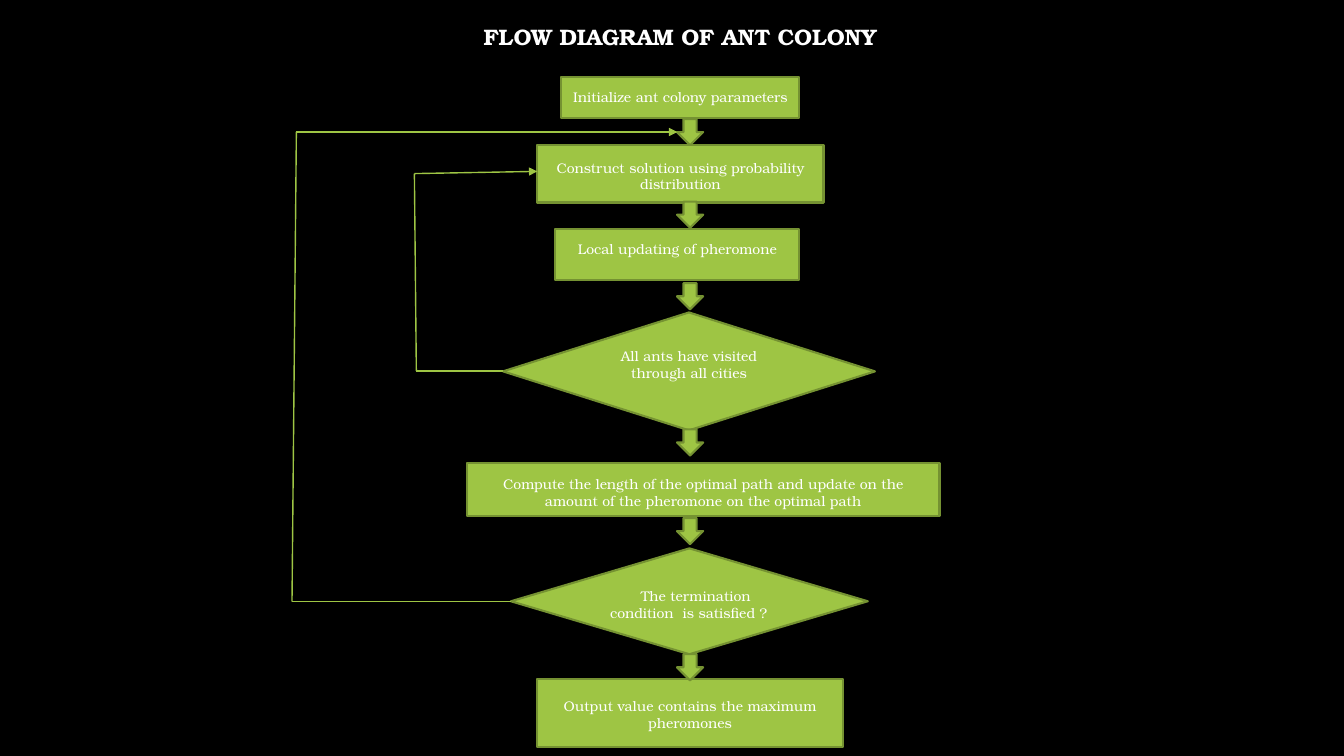
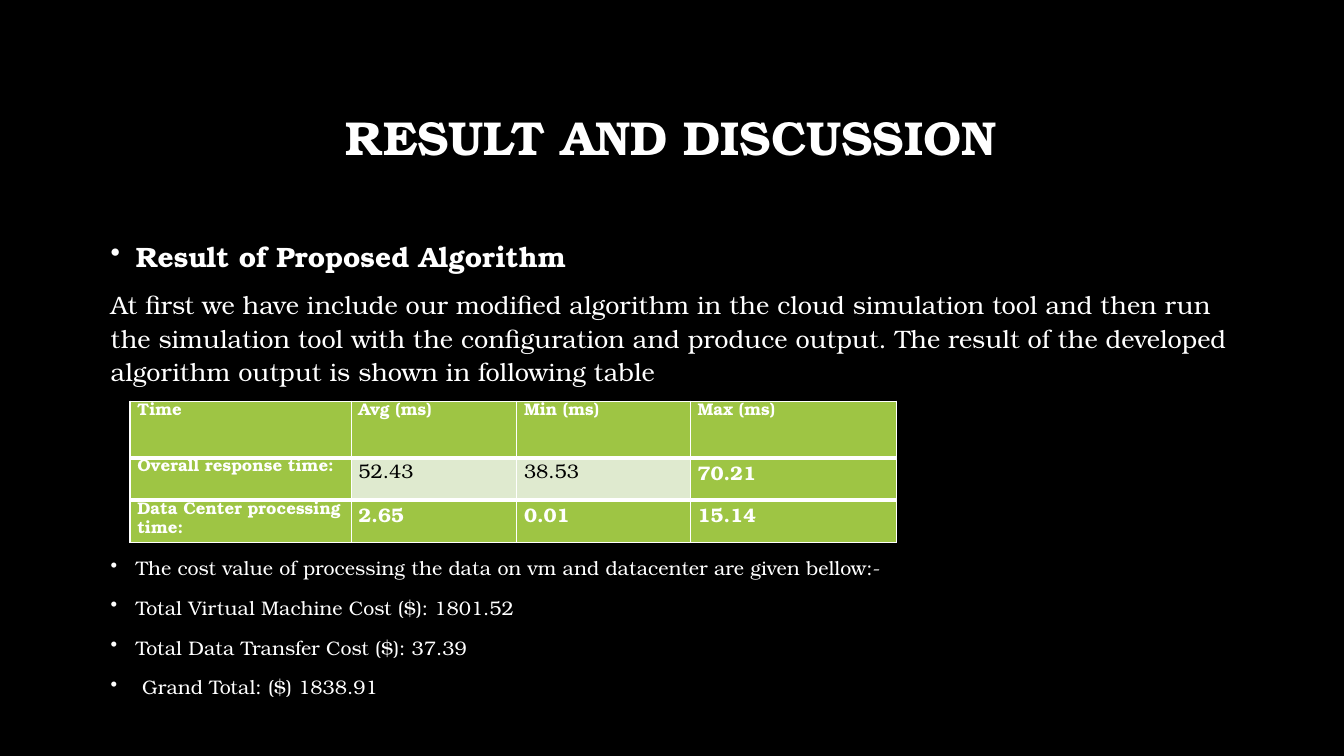
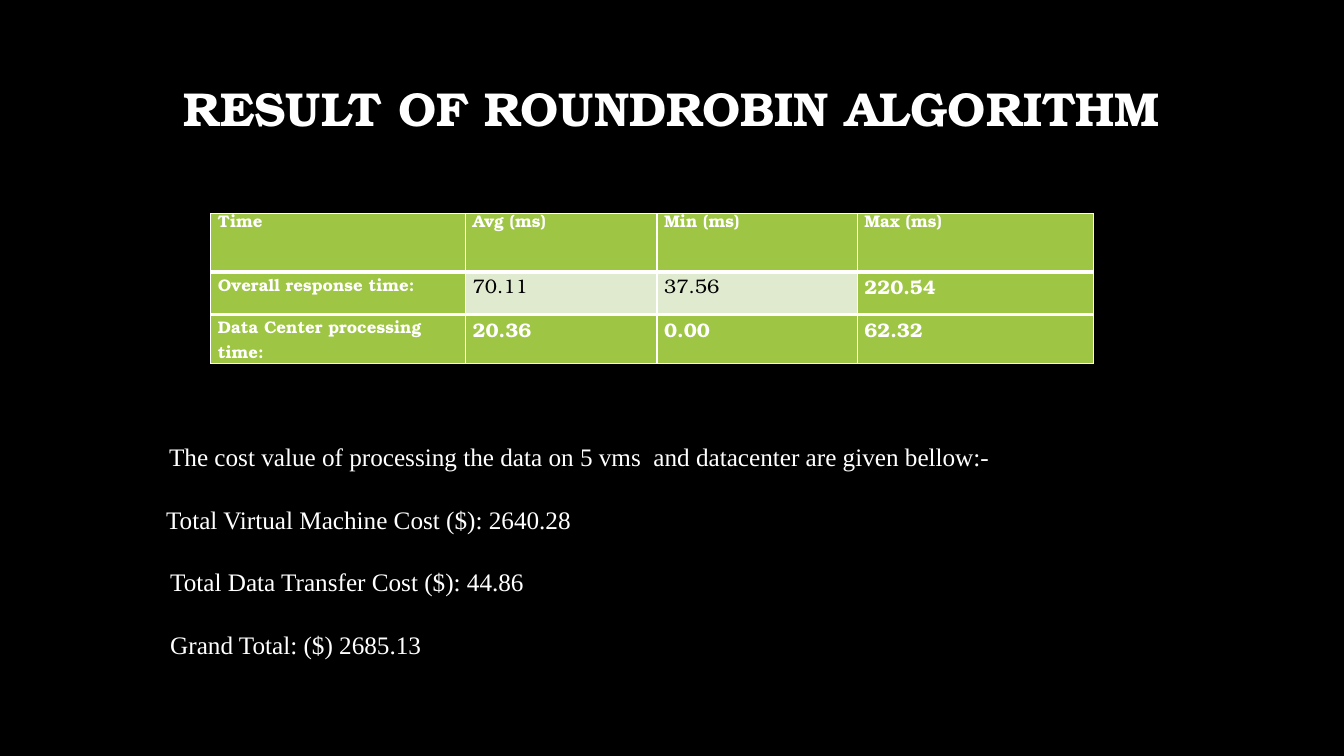
from itertools import pairwise

from pptx import Presentation
from pptx.dml.color import RGBColor
from pptx.enum.shapes import MSO_CONNECTOR, MSO_SHAPE
from pptx.enum.text import MSO_ANCHOR, PP_ALIGN
from pptx.oxml import parse_xml
from pptx.oxml.ns import nsdecls
from pptx.util import Pt

BLACK, WHITE = "000000", "FFFFFF"
GREEN, DARK_GREEN, PALE_GREEN = "9EC544", "759232", "DFEACF"
BONUM, TIMES = "TeX Gyre Bonum", "Times New Roman"

TITLE_PLACE = (72, 48.2, 815, 104.4)

# Step: outline, place, text, drop of the text below the middle
BOX, DECISION = MSO_SHAPE.RECTANGLE, MSO_SHAPE.DIAMOND
FLOW_TITLE = "FLOW DIAGRAM OF ANT COLONY"
FLOW_TITLE_PLACE = (78.5, 0, 815, 54.7)
STEPS = [
    (BOX, (401, 54.7, 170, 29.5), "Initialize ant colony parameters", 0),
    (BOX, (383.8, 103.7, 204.5, 41),
     "Construct solution using probability distribution", 1.5),
    (BOX, (396.7, 163.4, 174.2, 36.7), "Local updating of pheromone", -4),
    (DECISION, (359.3, 223.2, 265.7, 84.2),
     "All ants have visited through all cities", -5),
    (BOX, (333.4, 330.5, 337.7, 38.2),
     "Compute the length of the optimal path and update on the "
     "amount of the pheromone on the optimal path", 2),
    (DECISION, (365, 391.7, 254.9, 75.6),
     "The termination condition  is satisfied ?", 2),
    (BOX, (383.8, 485.3, 218.2, 48.2),
     "Output value contains the maximum pheromones", 1),
]
HANGING_STEP, HANGING_INDENT = 5, 22
ARROW_LEFT, ARROW_SIZE = 483.6, 18.7
ARROW_TOPS = [85, 144, 202.3, 306.7, 370, 467.3]
LOOPS = [
    [(359.3, 265), (297.4, 265), (296, 124), (383.8, 122.4)],
    [(365, 429.8), (208.6, 429.8), (211.7, 94.3), (483.8, 94.3)],
]

TABLE_HEAD = ["Time", "Avg (ms)", "Min (ms)", "Max (ms)"]
RESPONSE, PROCESSING = "Overall response time:", "Data Center processing time:"

PROPOSED_TITLE = "RESULT AND DISCUSSION"
# Paragraph: text, size, bold, bullet, space before
PROPOSED_PLACE = (72, 164.9, 815, 355.7)
PROPOSED_TEXT = [
    ("Result of Proposed Algorithm", 20, True, True, 10),
    ("At first we have include our modified algorithm in the cloud simulation "
     "tool and then run the simulation tool with the configuration and produce "
     "output. The result of the developed algorithm output is shown in "
     "following table", 18, False, False, 10),
    ("The cost value of processing the data on vm and datacenter are given "
     "bellow:-", 14, False, True, 119.2),
    ("Total Virtual Machine Cost ($): 1801.52", 14, False, True, 10),
    ("Total Data Transfer Cost ($): 37.39", 14, False, True, 10),
    (" Grand Total: ($) 1838.91", 14, False, True, 10),
]
PROPOSED_TABLE = {
    "at": (92.9, 286.6), "widths": [158, 118.3, 124, 147], "heights": [40.3, 30.2, 30.2],
    "rows": [TABLE_HEAD, [RESPONSE, "52.43", "38.53", "70.21"],
             [PROCESSING, "2.65", "0.01", "15.14"]],
    "tight_labels": True,
}

ROUNDROBIN_TITLE = "RESULT OF ROUNDROBIN ALGORITHM"
ROUNDROBIN_TITLE_LIFT = 21
ROUNDROBIN_TABLE = {
    "at": (150.5, 152.6), "widths": [182, 136.8, 143, 169], "heights": [41.8, 30.2, 35.3],
    "rows": [TABLE_HEAD, [RESPONSE, "70.11", "37.56", "220.54"],
             [PROCESSING, "20.36", "0.00", "62.32"]],
    "tight_labels": False,
}
# Paragraph: text, indent, space before
COSTS_PLACE = (79.9, 288.7, 707.8, 187.9)
COSTS = [
    ("The cost value of processing the data on 5 vms  and datacenter are given "
     "bellow:-", 33.8, 8.8),
    ("Total Virtual Machine Cost ($): 2640.28", 31.7, 0),
    ("Total Data Transfer Cost ($): 44.86", 34.6, 0),
    ("Grand Total: ($) 2685.13", 34.6, 0),
]


def rgb(color):
    return RGBColor.from_string(color)


def points(values):
    return [Pt(value) for value in values]


def write(paragraph, text, size, bold=False, color=WHITE, font=BONUM):
    run = paragraph.add_run()
    run.text = text
    run.font.name, run.font.size, run.font.bold = font, Pt(size), bold
    run.font.color.rgb = rgb(color)


def set_indent(paragraph, left=0, first=0):
    properties = paragraph._p.get_or_add_pPr()
    properties.set("marL", str(Pt(left)))
    properties.set("indent", str(Pt(first)))


def add_bullet(paragraph):
    set_indent(paragraph, 18, -18)
    paragraph._p.get_or_add_pPr().append(
        parse_xml(f'<a:buChar {nsdecls("a")} char="•"/>'))


def shift_from_middle(frame, drop):
    """Move middle-anchored text down by drop, or up when it is negative."""
    frame.vertical_anchor = MSO_ANCHOR.MIDDLE
    frame.margin_top = Pt(max(0, 2 * drop))
    frame.margin_bottom = Pt(max(0, -2 * drop))


def add_text_frame(slide, place):
    frame = slide.shapes.add_textbox(*points(place)).text_frame
    frame.word_wrap = True
    return frame


def paragraphs_for(frame, items):
    """Yield each item with a paragraph of its own."""
    for index, item in enumerate(items):
        yield (frame.add_paragraph() if index else frame.paragraphs[0]), item


def add_title(slide, text, size=34, place=TITLE_PLACE, lift=0):
    frame = add_text_frame(slide, place)
    shift_from_middle(frame, -lift)
    paragraph = frame.paragraphs[0]
    paragraph.alignment = PP_ALIGN.CENTER
    paragraph.line_spacing = 0.9
    write(paragraph, text, size, bold=True)


def add_green_shape(slide, outline, place):
    shape = slide.shapes.add_shape(outline, *points(place))
    shape.shadow.inherit = False
    shape.fill.solid()
    shape.fill.fore_color.rgb = rgb(GREEN)
    shape.line.color.rgb = rgb(DARK_GREEN)
    shape.line.width = Pt(1.5)
    return shape


def add_loop(slide, corners):
    """Join the corners by lines and end in an arrowhead."""
    for start, end in pairwise(corners):
        connector = slide.shapes.add_connector(
            MSO_CONNECTOR.STRAIGHT, *points(start + end))
        connector.line.color.rgb = rgb(GREEN)
        connector.line.width = Pt(1)
        connector._element.spPr.append(parse_xml(f'<a:effectLst {nsdecls("a")}/>'))
    connector.line._get_or_add_ln().append(
        parse_xml(f'<a:tailEnd {nsdecls("a")} type="triangle"/>'))


def set_borders(cell, top, bottom):
    for side, width in (("L", 1), ("R", 1), ("T", top), ("B", bottom)):
        cell._tc.get_or_add_tcPr().append(parse_xml(
            f'<a:ln{side} {nsdecls("a")} w="{Pt(width)}"><a:solidFill>'
            f'<a:srgbClr val="{WHITE}"/></a:solidFill></a:ln{side}>'))


def add_time_table(slide, at, widths, heights, rows, tight_labels):
    """Add a table of times; tight_labels fixes the line pitch of row labels."""
    size = (sum(widths), sum(heights))
    table = slide.shapes.add_table(len(rows), len(widths), *points(at + size)).table
    for column, width in zip(table.columns, widths):
        column.width = Pt(width)
    for r, (texts, height) in enumerate(zip(rows, heights)):
        table.rows[r].height = Pt(height)
        for c, text in enumerate(texts):
            cell = table.cell(r, c)
            cell.margin_left = cell.margin_right = 0
            cell.margin_top = cell.margin_bottom = 0
            set_borders(cell, 3 if r else 1, 3 if r < len(rows) - 1 else 1)
            pale = r == 1 and c in (1, 2)
            cell.fill.solid()
            cell.fill.fore_color.rgb = rgb(PALE_GREEN if pale else GREEN)
            paragraph = cell.text_frame.paragraphs[0]
            set_indent(paragraph, 5.2)
            if r == 0 or (c == 0 and tight_labels):
                paragraph.line_spacing = Pt(13.8)
            write(paragraph, text, 14 if r and c else 12, bold=not pale,
                  color=BLACK if pale else WHITE)


def build_flow(slide):
    add_title(slide, FLOW_TITLE, 16, FLOW_TITLE_PLACE)
    for index, (outline, place, text, drop) in enumerate(STEPS):
        frame = add_green_shape(slide, outline, place).text_frame
        frame.word_wrap = True
        shift_from_middle(frame, drop)
        paragraph = frame.paragraphs[0]
        if index == HANGING_STEP:
            paragraph.alignment = PP_ALIGN.LEFT
            set_indent(paragraph, first=HANGING_INDENT)
        else:
            paragraph.alignment = PP_ALIGN.CENTER
        write(paragraph, text, 10)
    for top in ARROW_TOPS:
        add_green_shape(slide, MSO_SHAPE.DOWN_ARROW,
                        (ARROW_LEFT, top, ARROW_SIZE, ARROW_SIZE))
    for corners in LOOPS:
        add_loop(slide, corners)


def build_proposed(slide):
    add_title(slide, PROPOSED_TITLE)
    frame = add_text_frame(slide, PROPOSED_PLACE)
    for paragraph, (text, size, bold, bullet, before) in paragraphs_for(frame, PROPOSED_TEXT):
        paragraph.line_spacing = 1.1
        paragraph.space_before = Pt(before)
        if bullet:
            add_bullet(paragraph)
        write(paragraph, text, size, bold)
    add_time_table(slide, **PROPOSED_TABLE)


def build_roundrobin(slide):
    add_title(slide, ROUNDROBIN_TITLE, lift=ROUNDROBIN_TITLE_LIFT)
    add_time_table(slide, **ROUNDROBIN_TABLE)
    frame = add_text_frame(slide, COSTS_PLACE)
    for paragraph, (text, indent, before) in paragraphs_for(frame, COSTS):
        paragraph.line_spacing = 2.07
        paragraph.space_before = Pt(before)
        set_indent(paragraph, indent)
        write(paragraph, text, 18, font=TIMES)


def main():
    deck = Presentation()
    deck.slide_width, deck.slide_height = Pt(960), Pt(540)
    background = deck.slide_master.background.fill
    background.solid()
    background.fore_color.rgb = rgb(BLACK)
    for build in (build_flow, build_proposed, build_roundrobin):
        build(deck.slides.add_slide(deck.slide_layouts[6]))
    deck.save("out.pptx")


if __name__ == "__main__":
    main()
